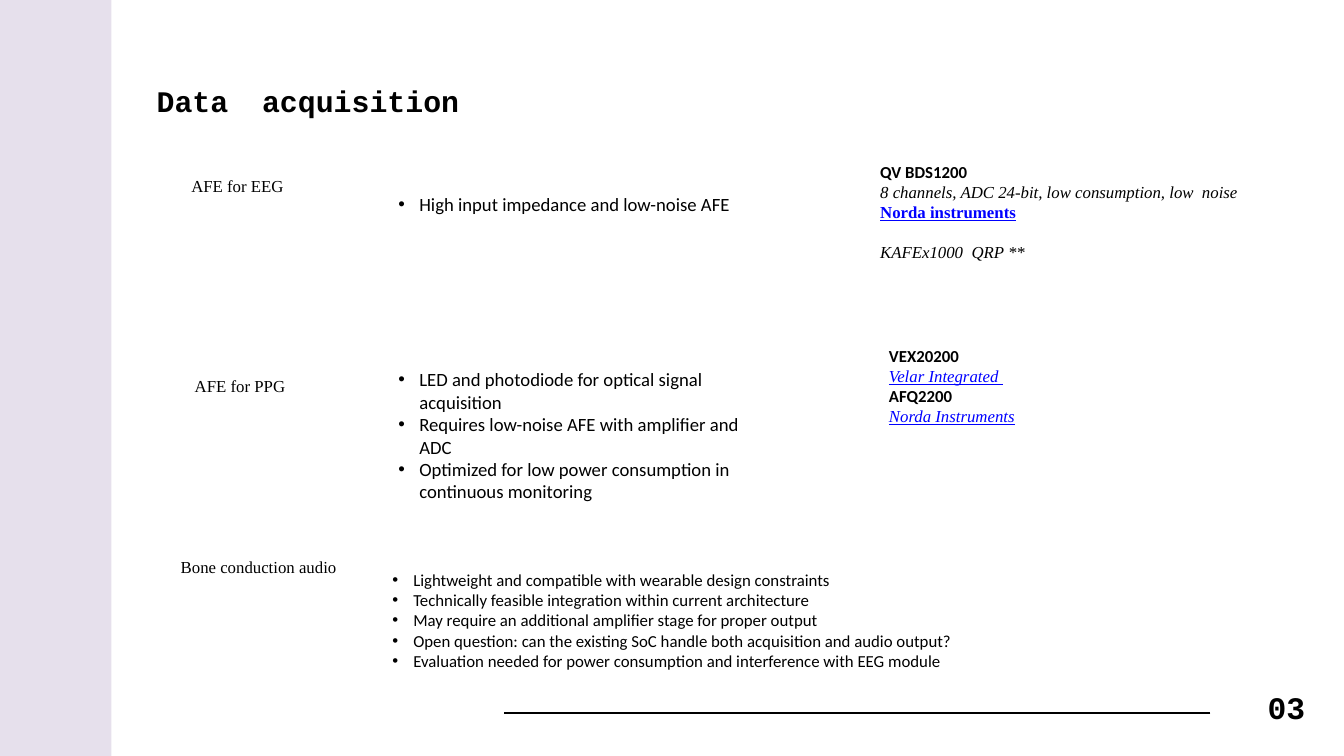
from dataclasses import dataclass

from lxml import etree
from pptx import Presentation
from pptx.dml.color import RGBColor
from pptx.enum.shapes import MSO_CONNECTOR, MSO_SHAPE
from pptx.enum.text import MSO_ANCHOR, MSO_AUTO_SIZE, PP_ALIGN
from pptx.oxml.ns import qn
from pptx.util import Cm, Pt

STRAIGHT = MSO_CONNECTOR.STRAIGHT
RECTANGLE = MSO_SHAPE.RECTANGLE
TOP = MSO_ANCHOR.TOP
FIXED = MSO_AUTO_SIZE.NONE
LEFT, CENTER = PP_ALIGN.LEFT, PP_ALIGN.CENTER
COMPARISON_LAYOUT = 4


@dataclass(frozen=True)
class Theme:
    ink: str = "000000"
    link: str = "0000FF"
    band: str = "E6E0EC"
    paper: str = "FFFFFF"
    heading_font: str = "Courier New"
    label_font: str = "Times New Roman"
    list_font: str = "Calibri"
    title_size: float = 32
    title_gap_size: float = 60
    number_size: float = 33.6
    list_size: float = 20
    text_size: float = 18


THEME = Theme()


@dataclass(frozen=True)
class Area:
    """A rectangle in centimetres."""
    left: float
    top: float
    width: float
    height: float

    def lengths(self) -> tuple:
        return Cm(self.left), Cm(self.top), Cm(self.width), Cm(self.height)


@dataclass(frozen=True)
class Span:
    text: str
    font: str = THEME.label_font
    size: float = THEME.text_size
    color: str = THEME.ink
    bold: bool = False
    italic: bool = False
    underline: bool = False


@dataclass(frozen=True)
class Line:
    spans: tuple[Span, ...]
    bullet: bool = False
    align: PP_ALIGN = LEFT
    spacing: float = 0
    before: float = 0


@dataclass(frozen=True)
class BulletList:
    placeholder: int
    area: Area
    size: float
    items: tuple[str, ...]


def heading(text: str, size: float) -> Span:
    return Span(text, THEME.heading_font, size, bold=True)


def part(name: str) -> Line:
    return Line((Span(name, THEME.list_font, bold=True),))


def maker(name: str, bold: bool = False, tail: str = "") -> Line:
    """A supplier name in link style, slanted unless it is bold."""
    spans = [Span(name, color=THEME.link, bold=bold, italic=not bold, underline=True)]
    if tail:
        spans.append(Span(tail, color=THEME.link, bold=True, italic=True, underline=True))
    return Line(tuple(spans))


TITLE = Line((heading("Data", THEME.title_size), heading(" ", THEME.title_gap_size),
              heading("acquisition", THEME.title_size)), spacing=75.2)
NUMBER = Line((heading("03", THEME.number_size),), align=CENTER, spacing=47)

LABELS = (
    ("AFE for EEG", Area(6.98, 6.5, 6.78, 1.8)),
    ("AFE for PPG", Area(7.11, 14.07, 6.78, 1.8)),
    ("Bone conduction audio", Area(6.58, 20.93, 6.78, 1.8)),
)

LISTS = (
    BulletList(1, Area(14.81, 7.16, 15.62, 1.12), THEME.list_size, (
        "High input impedance and low-noise AFE",
    )),
    BulletList(2, Area(14.81, 13.79, 14.15, 5.38), THEME.list_size, (
        "LED and photodiode for optical signal acquisition",
        "Requires low-noise AFE with amplifier and ADC",
        "Optimized for low power consumption in continuous monitoring",
    )),
    BulletList(4, Area(14.58, 21.41, 23.06, 4.88), THEME.text_size, (
        "Lightweight and compatible with wearable design constraints",
        "Technically feasible integration within current architecture",
        "May require an additional amplifier stage for proper output",
        "Open question: can the existing SoC handle both acquisition and audio output?",
        "Evaluation needed for power consumption and interference with EEG module",
    )),
)

PARTS = (
    (Area(33.02, 5.97, 16.26, 5.64), (
        part("QV BDS1200"),
        Line((Span("8 channels, ADC 24-bit, low consumption, low  noise", italic=True),)),
        maker("Norda instruments", bold=True),
        Line((Span("KAFEx1000  QRP **", italic=True),), before=21),
    )),
    (Area(33.35, 12.93, 16.26, 4.1), (
        part("VEX20200"),
        maker("Velar Integrated", tail=" "),
        part("AFQ2200"),
        maker("Norda Instruments"),
    )),
)


def add_bullet(para) -> None:
    properties = para._p.get_or_add_pPr()
    properties.set("marL", str(Cm(0.79)))
    properties.set("indent", str(-Cm(0.79)))
    etree.SubElement(properties, qn("a:buFont")).set("typeface", "Arial")
    etree.SubElement(properties, qn("a:buChar")).set("char", "•")


def write(box, area: Area, lines: tuple[Line, ...], inset: bool = True) -> None:
    """Place a text box or placeholder and fill it run by run."""
    box.left, box.top, box.width, box.height = area.lengths()
    frame = box.text_frame
    frame.word_wrap, frame.auto_size, frame.vertical_anchor = True, FIXED, TOP
    across, down = (Cm(0.25), Cm(0.13)) if inset else (0, 0)
    frame.margin_left = frame.margin_right = across
    frame.margin_top = frame.margin_bottom = down
    for index, line in enumerate(lines):
        para = frame.add_paragraph() if index else frame.paragraphs[0]
        if line.bullet:
            add_bullet(para)
        para.alignment = line.align
        para.space_before = Pt(line.before)
        if line.spacing:
            para.line_spacing = Pt(line.spacing)
        for span in line.spans:
            run = para.add_run()
            run.text = span.text
            font = run.font
            font.name, font.size = span.font, Pt(span.size)
            font.bold, font.italic, font.underline = span.bold, span.italic, span.underline
            font.color.rgb = RGBColor.from_string(span.color)


def add_text(page, area: Area, lines: tuple[Line, ...], inset: bool = True) -> None:
    write(page.shapes.add_textbox(*area.lengths()), area, lines, inset)


def paint(fill, color: str) -> None:
    fill.solid()
    fill.fore_color.rgb = RGBColor.from_string(color)


def add_decoration(page) -> None:
    band = page.shapes.add_shape(RECTANGLE, *Area(-0.03, -0.15, 4.24, 28.73).lengths())
    band.shadow.inherit = False
    paint(band.fill, THEME.band)
    band.line.fill.background()
    rule = page.shapes.add_connector(STRAIGHT, Cm(45.75), Cm(26.97), Cm(19.05), Cm(26.97))
    paint(rule.line.fill, THEME.ink)
    rule.line.width = Pt(2.25)
    etree.SubElement(rule._element.spPr, qn("a:effectLst"))


deck = Presentation()
deck.slide_width, deck.slide_height = Cm(50.8), Cm(28.58)
page = deck.slides.add_slide(deck.slide_layouts[COMPARISON_LAYOUT])
paint(page.background.fill, THEME.paper)
add_decoration(page)
write(page.shapes.title, Area(5.92, 2.01, 23.04, 2.51), (TITLE,), inset=False)
add_text(page, Area(46.86, 25.78, 3.53, 1.55), (NUMBER,), inset=False)
for text, area in LABELS:
    add_text(page, area, (Line((Span(text),)),))
for entry in LISTS:
    bullets = tuple(Line((Span(item, THEME.list_font, entry.size),), bullet=True)
                    for item in entry.items)
    write(page.placeholders[entry.placeholder], entry.area, bullets)
for area, lines in PARTS:
    add_text(page, area, lines)
unused = page.placeholders[3]._element
unused.getparent().remove(unused)
deck.save("out.pptx")
